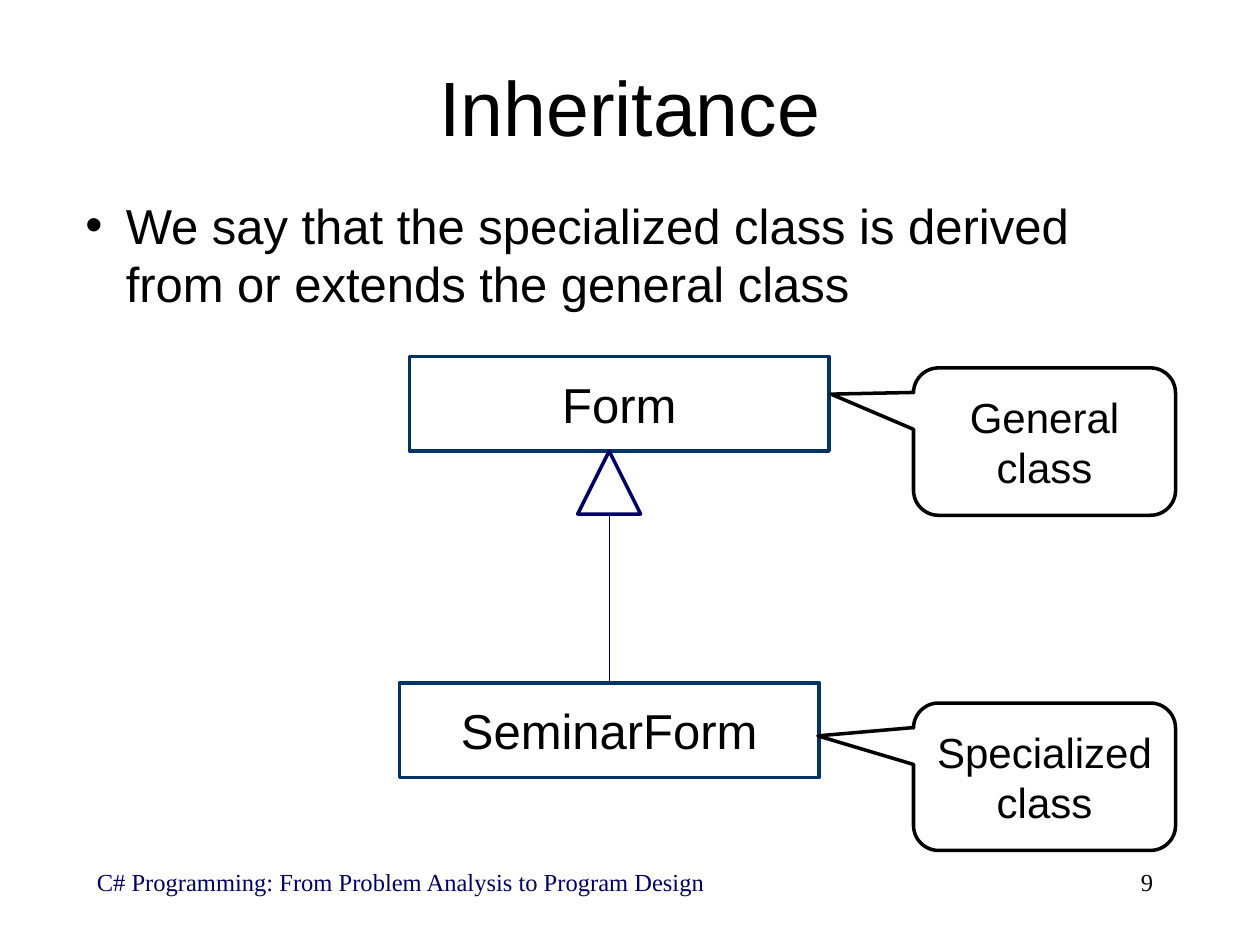
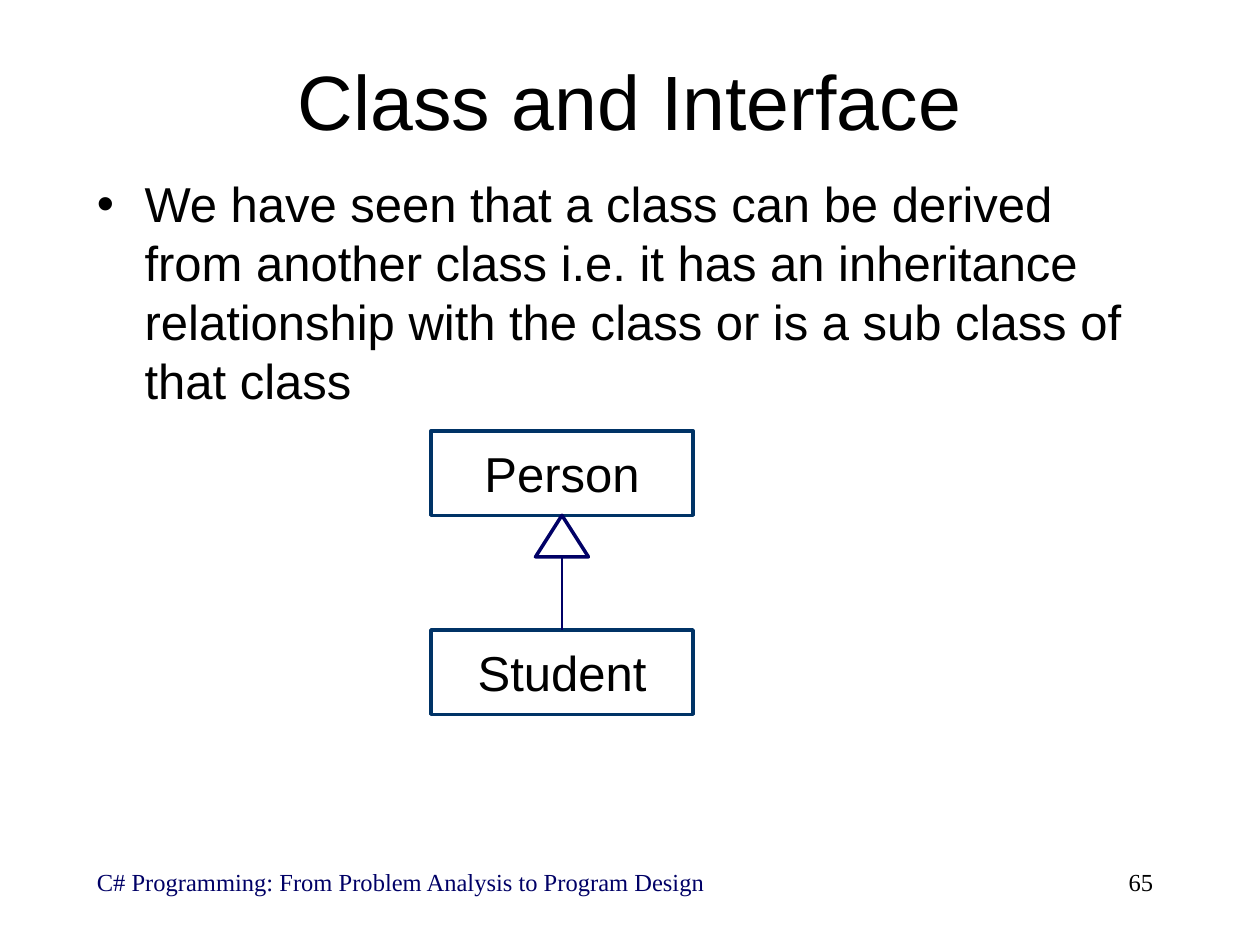
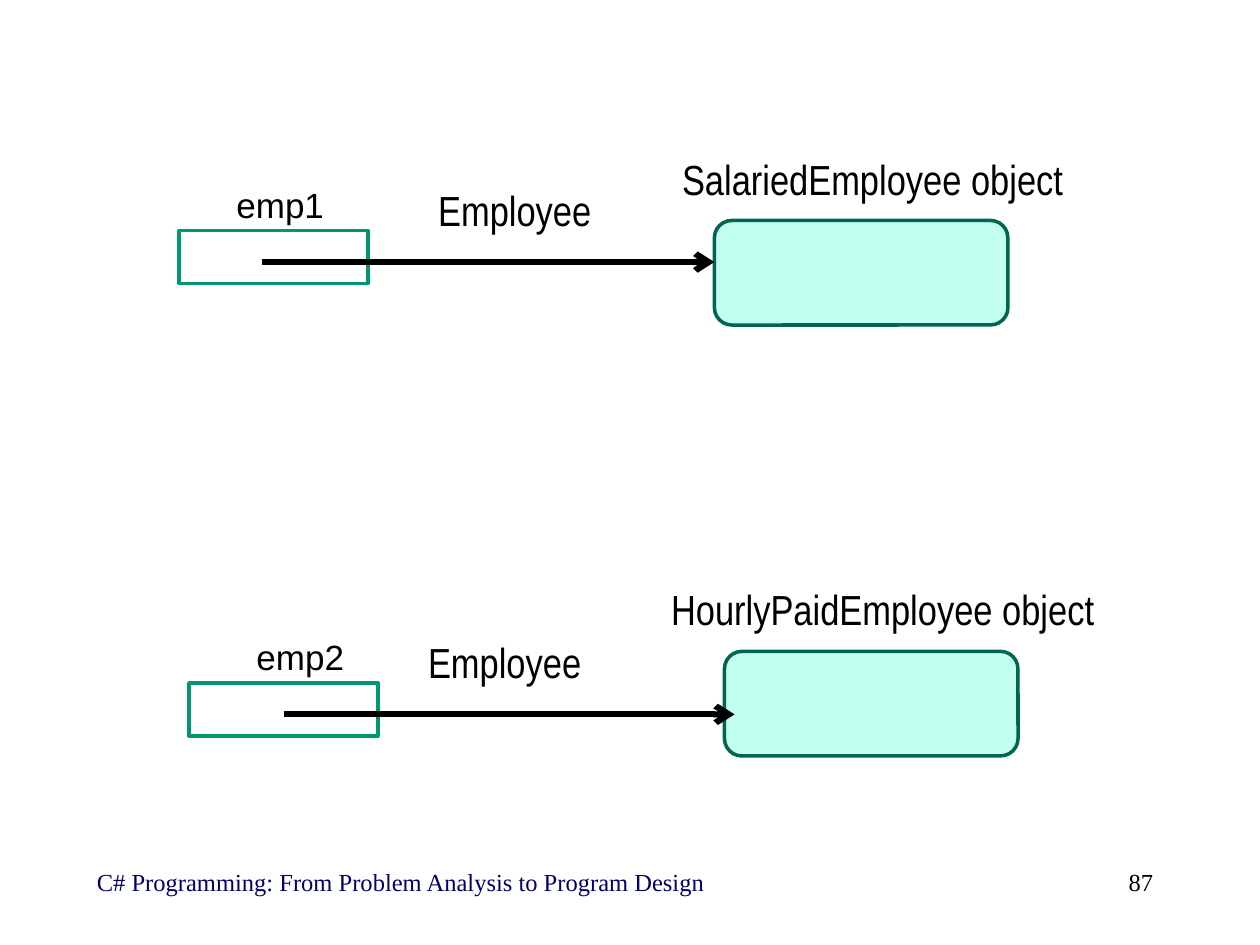
from lxml import etree
from pptx import Presentation
from pptx.dml.color import RGBColor
from pptx.enum.shapes import MSO_CONNECTOR, MSO_SHAPE
from pptx.enum.text import MSO_ANCHOR, PP_ALIGN
from pptx.oxml.ns import qn
from pptx.util import Inches, Pt

RECT, ROUND = MSO_SHAPE.RECTANGLE, MSO_SHAPE.ROUNDED_RECTANGLE
TRIANGLE, CALLOUT = MSO_SHAPE.ISOSCELES_TRIANGLE, MSO_SHAPE.ROUNDED_RECTANGULAR_CALLOUT
STRAIGHT = MSO_CONNECTOR.STRAIGHT
TOP, MIDDLE = MSO_ANCHOR.TOP, MSO_ANCHOR.MIDDLE
LEFT, CENTER, RIGHT = PP_ALIGN.LEFT, PP_ALIGN.CENTER, PP_ALIGN.RIGHT

COLORS = {"black": "000000", "white": "FFFFFF", "navy": "000066", "class": "003366",
          "reference": "009771", "object": "00664D", "mint": "C2FFF0"}
SANS, NARROW, SERIF = "Arial", "Arial Narrow", "Times New Roman"
TITLE_ONLY, BLANK = 5, 6
FOOTER = "C# Programming: From Problem Analysis to Program Design"


def rgb(name):
    return RGBColor.from_string(COLORS[name])


def write(tf, text, size, font=SANS, color="black", align=CENTER, anchor=MIDDLE):
    tf.word_wrap = True
    tf.vertical_anchor = anchor
    p = tf.paragraphs[0]
    p.alignment = align
    r = p.add_run()
    r.text = text
    r.font.size, r.font.name = Pt(size), font
    r.font.color.rgb = rgb(color)
    return p


def add_text(s, box, text, size, **style):
    sp = s.shapes.add_textbox(*map(Inches, box))
    return write(sp.text_frame, text, size, **style)


def add_box(s, kind, box, line, fill=None):
    sp = s.shapes.add_shape(kind, *map(Inches, box))
    sp.shadow.inherit = False
    if fill:
        sp.fill.solid()
        sp.fill.fore_color.rgb = rgb(fill)
    else:
        sp.fill.background()
    sp.line.color.rgb = rgb(line)
    sp.line.width = Pt(2)
    return sp


def add_line(s, start, end, color, width, arrow=False):
    c = s.shapes.add_connector(STRAIGHT, *map(Inches, (*start, *end)))
    c.line.color.rgb = rgb(color)
    c.line.width = Pt(width)
    if arrow:
        etree.SubElement(c.line._get_or_add_ln(), qn("a:tailEnd"), type="arrow")
    etree.SubElement(c._element.spPr, qn("a:effectLst"))


def add_slide(prs, layout, number):
    """Add a slide with the shared footer and its page number."""
    s = prs.slides.add_slide(prs.slide_layouts[layout])
    add_text(s, (0.67, 6.83, 5.92, 0.5), FOOTER, 14, font=SERIF, color="navy",
             align=LEFT, anchor=TOP)
    add_text(s, (7.17, 6.83, 2.08, 0.5), number, 14, font=SERIF, align=RIGHT, anchor=TOP)
    return s


def set_title(s, text, height):
    title = s.shapes.title
    title.left, title.top, title.width, title.height = map(Inches, (0.75, 0.17, 8.5, height))
    write(title.text_frame, text, 44)


def add_bullet(s, box, text, indent):
    p = add_text(s, box, text, 28, align=LEFT, anchor=TOP)
    pPr = p._p.get_or_add_pPr()
    pPr.set("marL", str(Inches(indent)))
    pPr.set("indent", str(-Inches(indent)))
    etree.SubElement(pPr, qn("a:buFont"), typeface=SANS)
    etree.SubElement(pPr, qn("a:buChar"), char="•")


def add_inheritance(s, parent, child, parent_box, child_box, head):
    """Draw two classes joined by a hollow arrowhead of size head above the child's centre."""
    for name, box in ((parent, parent_box), (child, child_box)):
        write(add_box(s, RECT, box, "class").text_frame, name, 28)
    center = child_box[0] + child_box[2] / 2
    head_top = parent_box[1] + parent_box[3]
    width, height = head
    add_box(s, TRIANGLE, (center - width / 2, head_top, width, height), "navy")
    add_line(s, (center, head_top + height), (center, child_box[1]), "navy", 0.75)


def add_callout(s, top, text, pointer):
    sp = add_box(s, CALLOUT, (7.25, top, 2.08, 1.17), "black")
    for i, value in enumerate((*pointer, 0.17)):
        sp.adjustments[i] = value
    write(sp.text_frame, text, 24)


def add_reference(s, variable, class_name, ref, obj, name_dx, type_dx, arrow_dx, overlap):
    """Draw a variable at ref pointing to an object at obj; dx values are measured from ref."""
    x, y = ref
    obj_x, obj_y = obj
    add_box(s, ROUND, (obj_x, obj_y, 2.33, 0.83), "object", "mint")
    add_text(s, (obj_x - 0.83, obj_y - 0.67, 4.17, 0.67), f"{class_name} object", 24, font=NARROW)
    add_text(s, (x + name_dx, y - 0.5, 1, 0.58), variable, 20, align=RIGHT)
    add_box(s, RECT, (x, y, 1.5, 0.42), "reference", "white")
    add_line(s, (x + arrow_dx, y + 0.25), (obj_x + overlap, y + 0.25), "black", 3.5, arrow=True)
    add_text(s, (x + type_dx, y - 0.5, 4.17, 0.67), "Employee", 24, font=NARROW)


def inheritance_slide(prs):
    s = add_slide(prs, TITLE_ONLY, "9")
    set_title(s, "Inheritance", 1.33)
    add_bullet(s, (0.58, 1.5, 8.75, 4.83), "We say that the specialized class is derived "
               "from or extends the general class", 0.32)
    add_inheritance(s, "Form", "SeminarForm", (3.25, 2.83, 3.33, 0.75),
                    (3.17, 5.42, 3.33, 0.75), (0.5, 0.5))
    add_callout(s, 2.92, "General class", (-0.815, -0.322))
    add_callout(s, 5.58, "Specialized class", (-0.865, -0.277))


def interface_slide(prs):
    s = add_slide(prs, TITLE_ONLY, "65")
    set_title(s, "Class and Interface", 1.25)
    add_bullet(s, (0.67, 1.33, 8.5, 4.75), "We have seen that a class can be derived from "
               "another class i.e. it has an inheritance relationship with the class or is "
               "a sub class of that class", 0.38)
    add_inheritance(s, "Person", "Student", (3.42, 3.42, 2.08, 0.67),
                    (3.42, 5, 2.08, 0.67), (0.42, 0.33))


def references_slide(prs):
    s = add_slide(prs, BLANK, "87")
    add_reference(s, "emp1", "SalariedEmployee", (1.42, 1.83), (5.67, 1.75),
                  name_dx=0.25, type_dx=0.58, arrow_dx=0.66, overlap=0)
    add_reference(s, "emp2", "HourlyPaidEmployee", (1.5, 5.42), (5.75, 5.17),
                  name_dx=0.33, type_dx=0.42, arrow_dx=0.75, overlap=0.08)


def main():
    prs = Presentation()
    prs.slide_width, prs.slide_height = Inches(10), Inches(7.5)
    inheritance_slide(prs)
    interface_slide(prs)
    references_slide(prs)
    prs.save("out.pptx")


if __name__ == "__main__":
    main()
